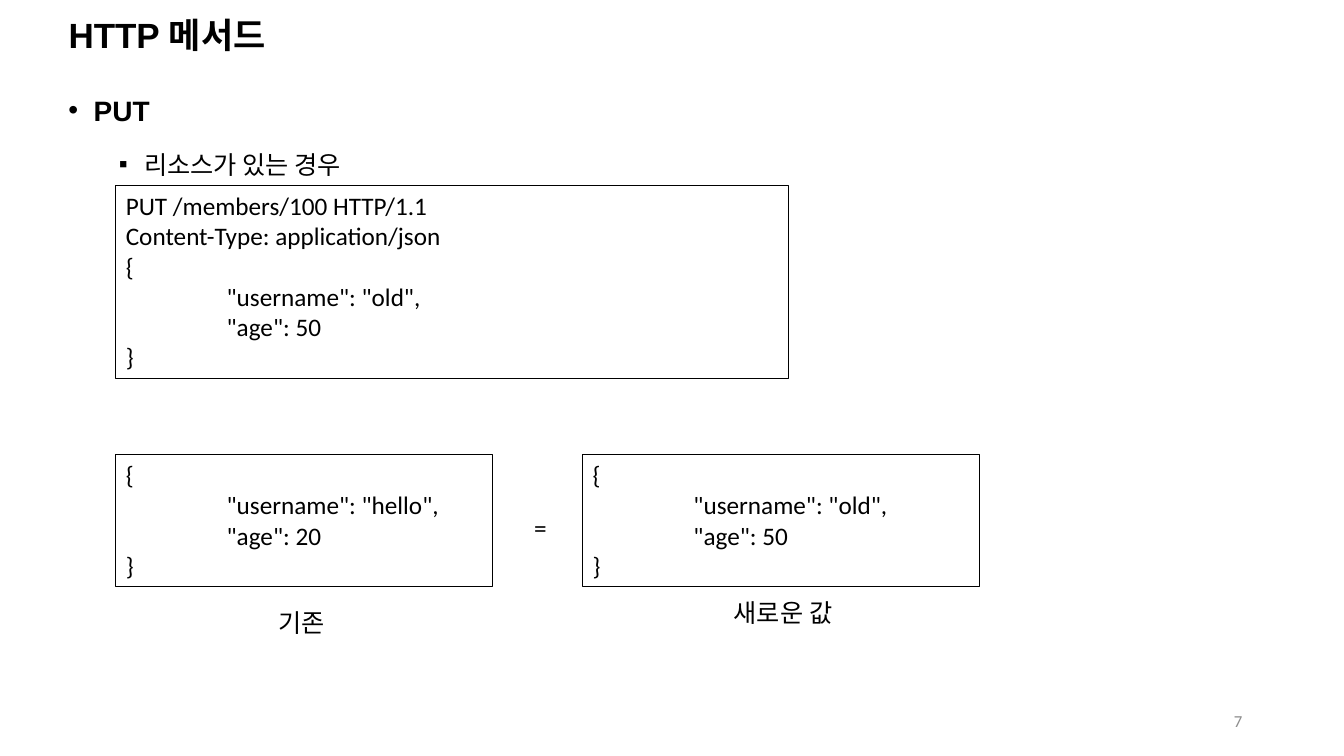
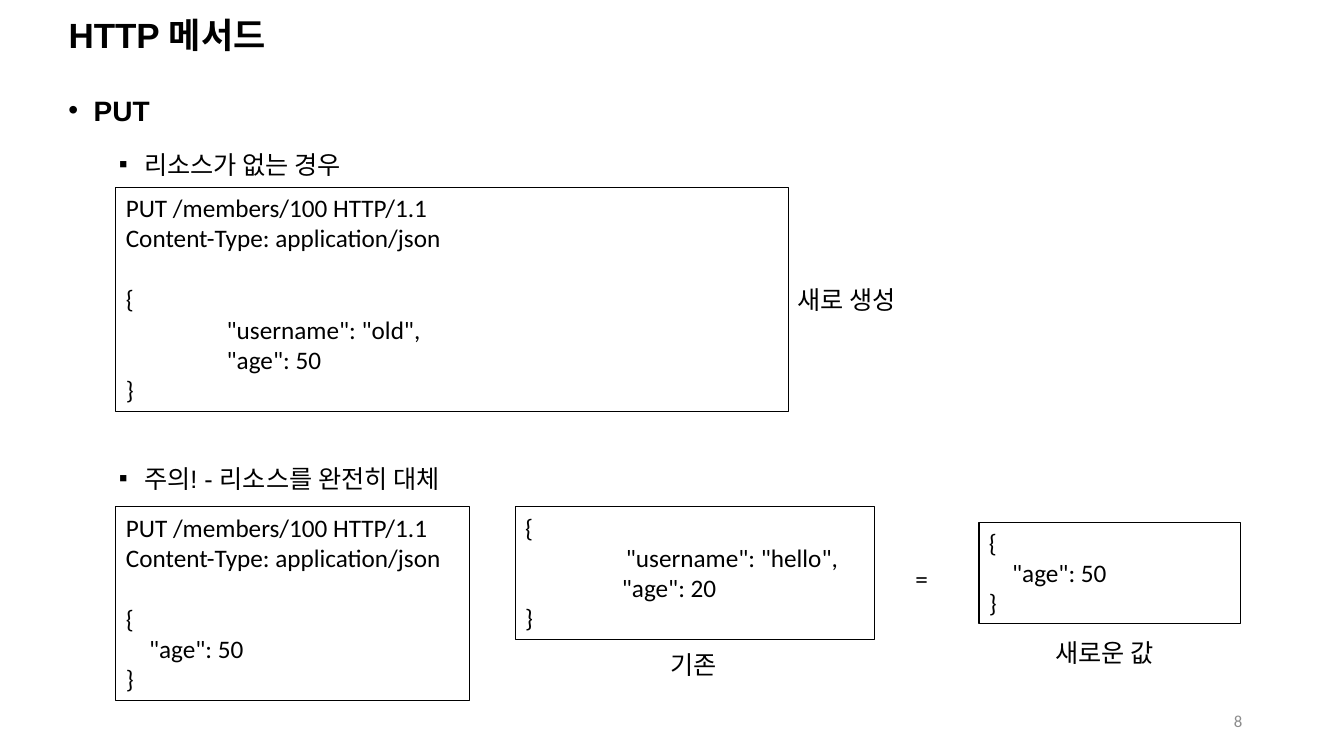
"""Build two slides on the HTTP PUT method."""
import pptx
import pptx.dml.color
import pptx.enum.shapes
import pptx.enum.text
import pptx.util
from lxml import etree

Inches, Pt = pptx.util.Inches, pptx.util.Pt
ALIGN = pptx.enum.text.PP_ALIGN
MIDDLE = pptx.enum.text.MSO_ANCHOR.MIDDLE
BLACK, GRAY = "000000", "8C8C8C"
HEAD, CODE = "Arial", "Calibri"
LINE, PAD, GAP = 0.303, 0.1, 22

CALL = [("PUT /members/100 HTTP/1.1", 0), ("Content-Type: application/json", 0)]
OLD = [("{", 0), ('"username": "old",', 1), ('"age": 50', 1), ("}", 0)]
HELLO = [("{", 0), ('"username": "hello",', 1), ('"age": 20', 1), ("}", 0)]
LOOSE = HELLO[:2] + [('"age": 20', 0.96)] + HELLO[3:]
AGE = [("{", 0), ('"age": 50', 0.23), ("}", 0)]

SLIDES = [
    {
        "number": "7",
        "bullets": [("리소스가 있는 경우", 5)],
        "boxes": [
            (1.15, 1.84, 6.67, CALL + OLD, None),
            (1.15, 4.51, 3.74, HELLO, None),
            (5.78, 4.51, 3.94, OLD, None),
        ],
        "labels": [
            (5.2, 5.03, 0.35, "="),
            (2.66, 5.98, 0.71, "기존"),
            (7.18, 5.88, 1.27, "새로운 값"),
        ],
    },
    {
        "number": "8",
        "bullets": [("리소스가 없는 경우", 5), ("주의! - 리소스를 완전히 대체", 192)],
        "boxes": [
            (1.15, 1.86, 6.67, CALL + OLD, 2),
            (1.15, 5.03, 3.51, CALL + AGE, 2),
            (5.11, 5.03, 3.56, LOOSE, None),
            (9.71, 5.18, 2.59, AGE, None),
        ],
        "labels": [
            (7.81, 2.77, 1.27, "새로 생성"),
            (8.98, 5.54, 0.35, "="),
            (6.55, 6.39, 0.71, "기존"),
            (10.37, 6.27, 1.27, "새로운 값"),
        ],
    },
]


def color(code):
    return pptx.dml.color.RGBColor.from_string(code)


def style(para, size, name=CODE, tint=BLACK, bold=False):
    font = para.font
    font.size, font.name, font.bold = Pt(size), name, bold
    font.color.rgb = color(tint)


def indent(para, left, first=0):
    props = para._p.get_or_add_pPr()
    props.set("marL", str(Inches(left)))
    props.set("indent", str(Inches(first)))
    return props


def bullet(para, text, mark, left, size, before, bold=False):
    para.text = text
    style(para, size, HEAD, bold=bold)
    para.alignment = ALIGN.JUSTIFY
    para.line_spacing, para.space_before = 1.5, Pt(before)
    props = indent(para, left, -0.25)
    space = "{http://schemas.openxmlformats.org/drawingml/2006/main}"
    spot = props.find(space + "defRPr")
    for tag, key, value in (("buFont", "typeface", HEAD), ("buChar", "char", mark)):
        item = etree.Element(space + tag)
        item.set(key, value)
        if spot is None:
            props.append(item)
        else:
            spot.addprevious(item)


def text_box(slide, left, top, width, height, wrap=True):
    box = slide.shapes.add_textbox(*map(Inches, (left, top, width, height)))
    box.text_frame.word_wrap = wrap
    return box.text_frame


def add_title(slide):
    title = slide.shapes.title
    title.left, title.top = Inches(0.58), Inches(0.18)
    title.width, title.height = Inches(11.5), Inches(0.38)
    frame = title.text_frame
    frame.text = "HTTP 메서드"
    frame.vertical_anchor = MIDDLE
    frame.auto_size = pptx.enum.text.MSO_AUTO_SIZE.NONE
    para = frame.paragraphs[0]
    para.alignment, para.line_spacing = ALIGN.LEFT, 0.9
    style(para, 25, HEAD, bold=True)


def add_body(slide, bullets):
    frame = text_box(slide, 0.58, 0.71, 12.39, 6.44)
    bullet(frame.paragraphs[0], "PUT", "•", 0.25, 20, 10, True)
    for text, before in bullets:
        bullet(frame.add_paragraph(), text, "▪", 0.75, 18, before)


def add_code(slide, left, top, width, lines, split):
    rows = len(lines) + (split is not None)
    box = slide.shapes.add_shape(
        pptx.enum.shapes.MSO_SHAPE.RECTANGLE,
        *map(Inches, (left, top, width, PAD + rows * LINE)),
    )
    box.shadow.inherit = False
    box.fill.background()
    box.line.color.rgb, box.line.width = color(BLACK), Pt(0.75)
    frame = box.text_frame
    frame.word_wrap = True
    frame.vertical_anchor = pptx.enum.text.MSO_ANCHOR.TOP
    for row, (text, inset) in enumerate(lines):
        para = frame.add_paragraph() if row else frame.paragraphs[0]
        para.text, para.alignment = text, ALIGN.LEFT
        style(para, 18)
        if inset:
            indent(para, inset)
        if row == split:
            para.space_before = Pt(GAP)


def add_label(slide, left, top, width, text):
    frame = text_box(slide, left, top, width, 0.4, False)
    frame.text = text
    style(frame.paragraphs[0], 18)


def add_number(slide, number):
    frame = text_box(slide, 9.42, 6.95, 3, 0.4)
    frame.text, frame.vertical_anchor = number, MIDDLE
    para = frame.paragraphs[0]
    para.alignment = ALIGN.RIGHT
    style(para, 12, tint=GRAY)


def main():
    deck = pptx.Presentation()
    deck.slide_width, deck.slide_height = Inches(13.33), Inches(7.5)
    for data in SLIDES:
        slide = deck.slides.add_slide(deck.slide_layouts[5])
        add_title(slide)
        add_body(slide, data["bullets"])
        add_number(slide, data["number"])
        for box in data["boxes"]:
            add_code(slide, *box)
        for label in data["labels"]:
            add_label(slide, *label)
    deck.save("out.pptx")


if __name__ == "__main__":
    main()
